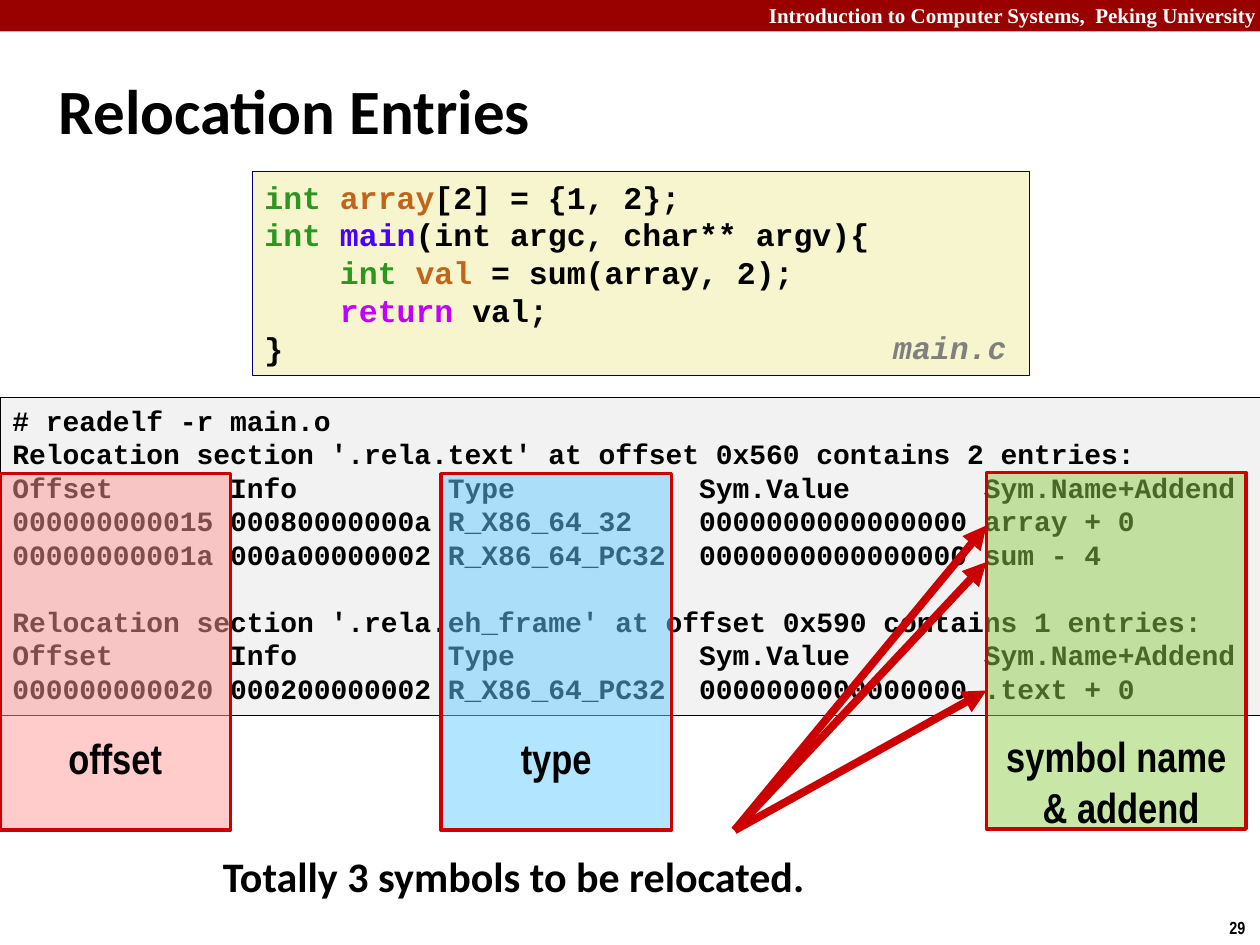
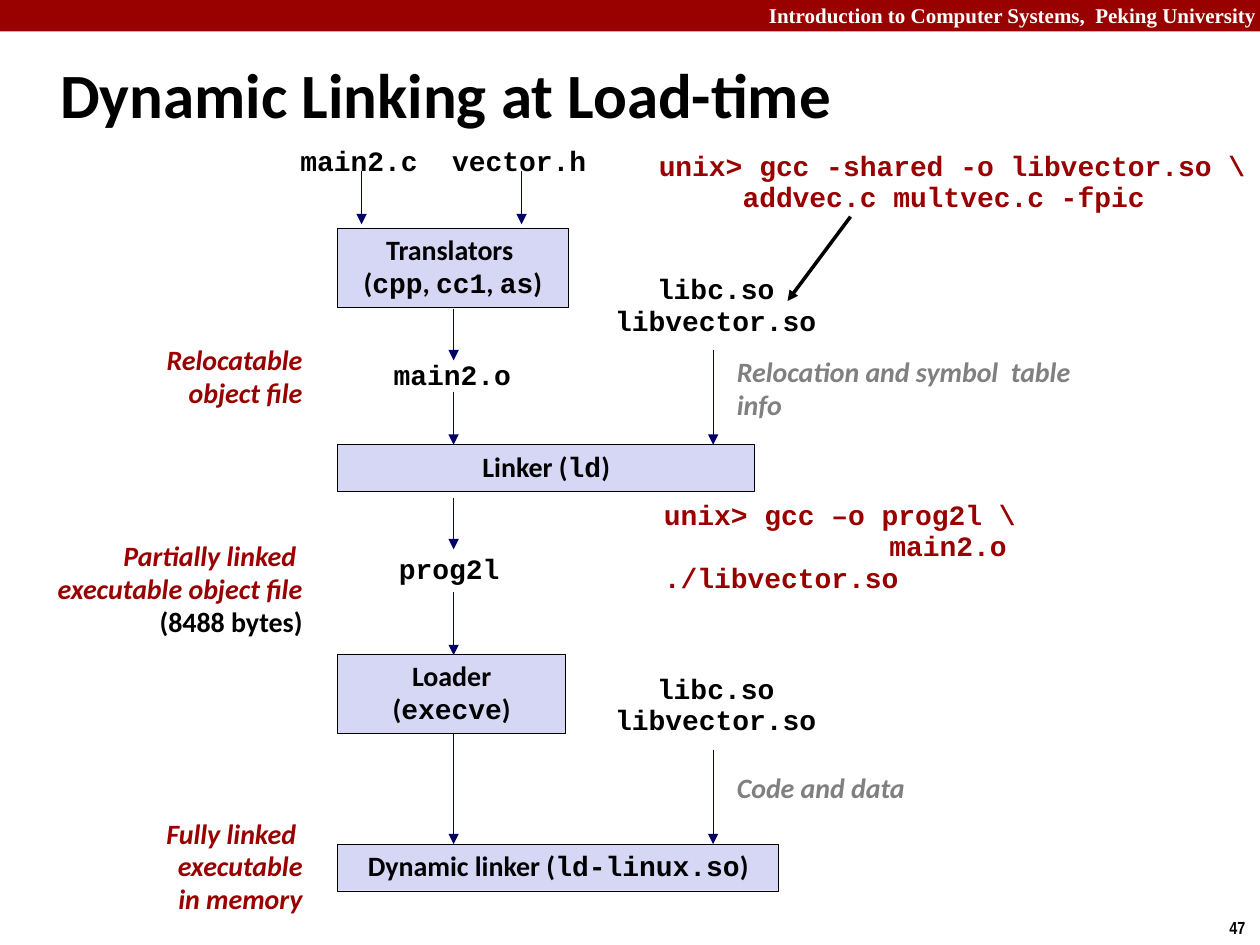
from lxml.etree import SubElement
from pptx import Presentation
from pptx.dml.color import RGBColor
from pptx.enum.shapes import MSO_CONNECTOR as CONN, MSO_SHAPE as SHAPE
from pptx.enum.text import MSO_ANCHOR as ANCHOR, PP_ALIGN as ALIGN
from pptx.oxml.ns import qn
from pptx.util import Emu, Pt

PX = 9144  # 100 px to the inch
SANS, MONO, NARROW, SERIF = "Calibri", "Courier New", "Arial Narrow", "Times New Roman"
BLACK, WHITE, GREY = "000000", "FFFFFF", "808080"
MAROON, RED, NAVY, LILAC = "990000", "CC0000", "000066", "D6D6F5"
GREEN, ORANGE, BLUE, PURPLE = "2D961E", "C1651C", "4A00FF", "C200FF"


def px(*lengths):
    return [Emu(n * PX) for n in lengths]


def rgb(hex_text):
    return RGBColor.from_string(hex_text)


def runs_of(line, font, color):
    """Split a line into (text, font, colour); `ticks` mark code, pairs carry a colour."""
    if isinstance(line, str):
        parts = line.split("`")
        return [(t, MONO if i % 2 else font, color) for i, t in enumerate(parts) if t]
    return [(t, font, c) for t, c in line]


def write(shape, text, font=SANS, size=16, color=BLACK, italic=False, align=ALIGN.LEFT,
          spacing=None, anchor=ANCHOR.TOP, wrap=True, inset_top=5):
    """Put text, a string or a list of lines, into a shape; returns the paragraphs."""
    tf = shape.text_frame
    tf.word_wrap, tf.vertical_anchor = wrap, anchor
    tf.margin_left, tf.margin_right, tf.margin_top, tf.margin_bottom = px(10, 10, inset_top, 5)
    for i, line in enumerate(text.split("\n") if isinstance(text, str) else text):
        p = tf.add_paragraph() if i else tf.paragraphs[0]
        p.alignment = align
        if spacing:
            p.line_spacing = spacing
        for piece, face, ink in runs_of(line, font, color):
            r = p.add_run()
            r.text = piece
            r.font.name, r.font.size = face, Pt(size)
            r.font.bold, r.font.italic = True, italic
            r.font.color.rgb = rgb(ink)
    return tf.paragraphs


class Deck:
    def __init__(self):
        self.prs = Presentation()
        self.prs.slide_width, self.prs.slide_height = px(1000, 750)
        self.s = None

    def slide(self, title, number, x, y, spacing=None):
        self.s = self.prs.slides.add_slide(self.prs.slide_layouts[6])
        self.box(0, 0, 1000, 25, MAROON, line=None)
        self.text(600, -3, 407, 30, "Introduction to Computer Systems,  Peking University",
                  font=SERIF, size=12, color=WHITE, align=ALIGN.RIGHT)
        self.text(966, 723, 34, 27, str(number), font=NARROW, size=10, wrap=False)
        self.text(x, y, 953, 86, title, size=36, anchor=ANCHOR.MIDDLE, spacing=spacing)

    def text(self, x, y, w, h, text, **style):
        return write(self.s.shapes.add_textbox(*px(x, y, w, h)), text, **style)

    def label(self, x, y, w, text):
        """Centred file name or names."""
        self.text(x, y, w, 61 if "\n" in text else 36, text, font=MONO,
                  align=ALIGN.CENTER, spacing=0.94, wrap=False)

    def note(self, x, y, w, h, text, color=GREY, align=ALIGN.LEFT):
        return self.text(x, y, w, h, text, color=color, italic=True, align=align, spacing=0.98)

    def command(self, x, y, w, text):
        return self.text(x, y, w, 61, text, font=MONO, color=MAROON, spacing=0.94)

    def box(self, x, y, w, h, fill, line=BLACK, width=0.25, alpha=None, text=None, **style):
        sp = self.s.shapes.add_shape(SHAPE.RECTANGLE, *px(x, y, w, h))
        sp.shadow.inherit = False
        sp.fill.solid()
        sp.fill.fore_color.rgb = rgb(fill)
        if alpha:
            clr = sp.fill._xPr.find(qn("a:solidFill"))[0]
            SubElement(clr, qn("a:alpha"), val=str(alpha * 1000))
        if line:
            sp.line.color.rgb, sp.line.width = rgb(line), Pt(width)
        else:
            sp.line.fill.background()
        if text:
            write(sp, text, **style)

    def stage(self, x, y, w, h, text):
        self.box(x, y, w, h, LILAC, text=text, align=ALIGN.CENTER, spacing=0.98)

    def column(self, x, y, w, fill, text):
        """Translucent highlight over a column, named below the listing."""
        self.box(x, y, w, 283, fill, RED, 2, alpha=50, text=text, font=NARROW, size=24,
                 align=ALIGN.CENTER, inset_top=205)

    def arrow(self, x1, y1, x2, y2, color=NAVY, width=0.25):
        c = self.s.shapes.add_connector(CONN.STRAIGHT, *px(x1, y1, x2, y2))
        c.line.color.rgb, c.line.width = rgb(color), Pt(width)
        SubElement(c.line._get_or_add_ln(), qn("a:tailEnd"), type="triangle")
        SubElement(c._element.spPr, qn("a:effectLst"))


SOURCE = [
    [("int ", GREEN), ("array", ORANGE), ("[2] = {1, 2};", BLACK)],
    [("int ", GREEN), ("main", BLUE), ("(int argc, char** argv){", BLACK)],
    [("    int ", GREEN), ("val", ORANGE), (" = sum(array, 2);", BLACK)],
    [("    return", PURPLE), (" val;", BLACK)],
    "}",
]
HEADS = "Offset       Info         Type           Sym.Value        Sym.Name+Addend"
LISTING = [
    "# readelf -r main.o",
    "Relocation section '.rela.text' at offset 0x560 contains 2 entries:",
    HEADS,
    "000000000015 00080000000a R_X86_64_32    0000000000000000 array + 0",
    "00000000001a 000a00000002 R_X86_64_PC32  0000000000000000 sum - 4",
    "Relocation section '.rela.eh_frame' at offset 0x590 contains 1 entries:",
    HEADS,
    "000000000020 000200000002 R_X86_64_PC32  0000000000000000 .text + 0",
]


def relocation_entries(d):
    d.slide("Relocation Entries", 29, 37, 49, spacing=0.82)
    d.box(0, 315, 1000, 253, "F2F2F2", text=LISTING, font=MONO)
    listing = d.s.shapes[-1].text_frame
    listing.paragraphs[5].space_before = Pt(19)
    d.box(200, 136, 617, 162, "F7F5CD", NAVY, text=SOURCE, font=MONO, size=18)
    d.text(699, 258, 117, 39, "main.c", font=MONO, size=18, color=GREY, italic=True,
           spacing=0.94)
    d.column(350, 376, 183, "66CCFF", "type")
    d.column(0, 376, 183, "FF9999", "offset")
    d.column(783, 375, 206, "92D050", "symbol name\n & addend")
    for symbol_y in (417, 446, 548):
        d.arrow(583, 659, 783, symbol_y, RED, 4.5)
    d.text(167, 670, 783, 50, "Totally 3 symbols to be relocated.", size=24)


def dynamic_linking(d):
    d.slide("Dynamic Linking at Load-time", 47, 38, 31)
    d.stage(268, 181, 183, 63, "Translators \n(`cpp`, `cc1`, `as`)")
    d.stage(268, 353, 331, 37, "Linker (`ld`)")
    d.stage(268, 519, 181, 63, "Loader (`execve`)")
    d.stage(268, 670, 350, 37, "Dynamic linker (`ld-linux.so`)")

    d.label(228, 111, 114, "main2.c")
    d.label(348, 111, 128, "vector.h")
    d.label(302, 281, 114, "main2.o")
    d.label(306, 435, 101, "prog2l")
    for y in (213, 530):
        d.label(477, y, 182, "libc.so\nlibvector.so")

    for x, top, bottom in ((287, 136, 178), (414, 136, 178), (360, 245, 286), (360, 311, 353),
                           (360, 395, 436), (360, 470, 520), (360, 582, 670),
                           (566, 278, 353), (566, 595, 670)):
        d.arrow(x, top, x, bottom)
    d.arrow(675, 172, 625, 239, BLACK, 2)

    d.note(575, 278, 285, 63, "Relocation and symbol  table info")
    d.note(575, 608, 194, 37, "Code and data")
    d.note(100, 268, 150, 63, "Relocatable\nobject file", MAROON, ALIGN.RIGHT)
    partial = d.note(-25, 424, 275, 89,
                     "Partially linked \nexecutable object file\n(8488 bytes)",
                     MAROON, ALIGN.RIGHT)
    size_font = partial[2].runs[0].font
    size_font.italic, size_font.color.rgb = False, rgb(BLACK)
    d.note(58, 644, 192, 89, "Fully linked \nexecutable\nin memory", MAROON, ALIGN.RIGHT)

    d.command(513, 115, 492,
              "unix> gcc -shared -o libvector.so \\\n     addvec.c multvec.c -fpic")
    link = d.command(517, 392, 398, "unix> gcc –o prog2l \\\nmain2.o\n./libvector.so")
    link[1]._p.get_or_add_pPr().set("marL", str(179 * PX))


def main():
    d = Deck()
    relocation_entries(d)
    dynamic_linking(d)
    d.prs.save("out.pptx")


if __name__ == "__main__":
    main()
